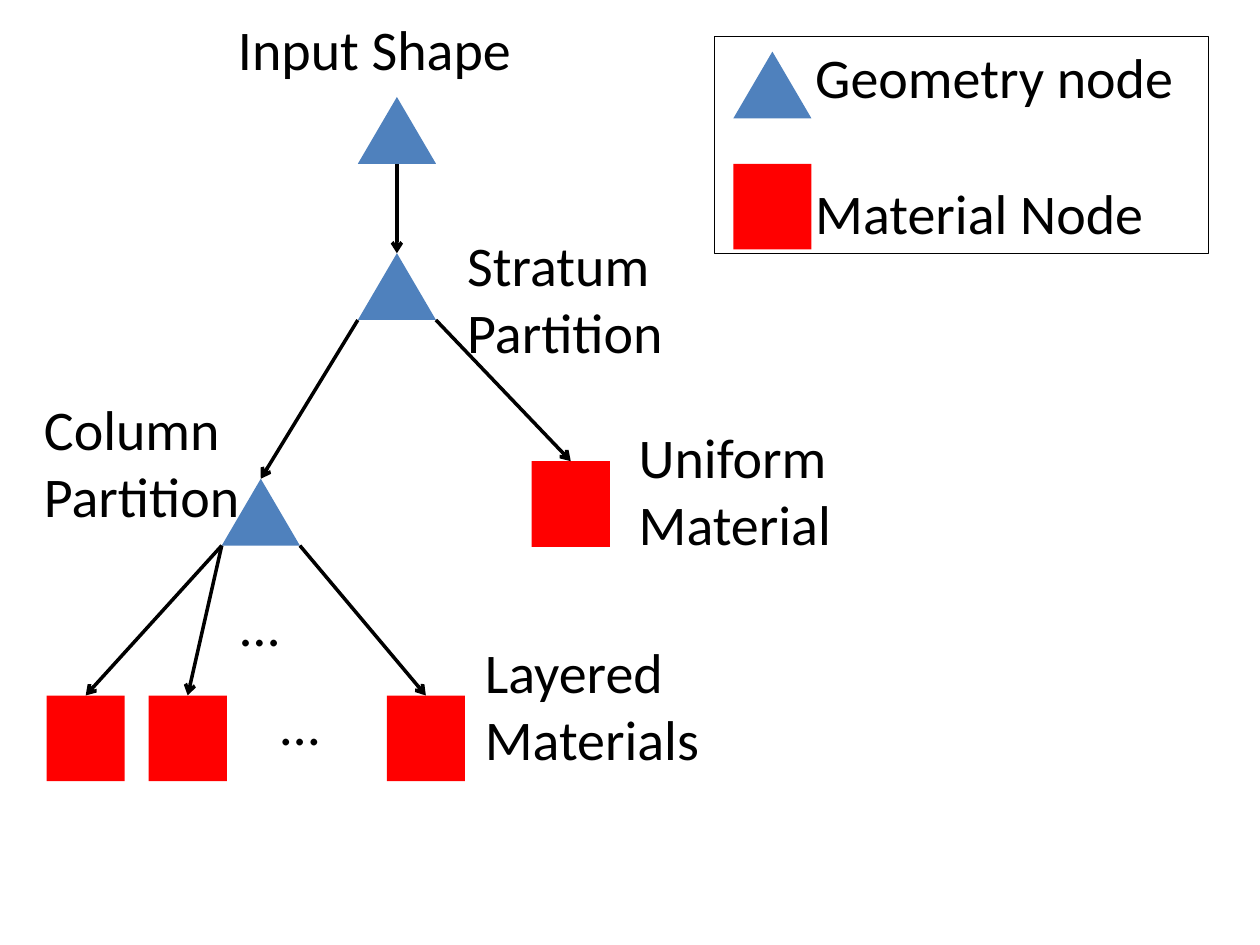
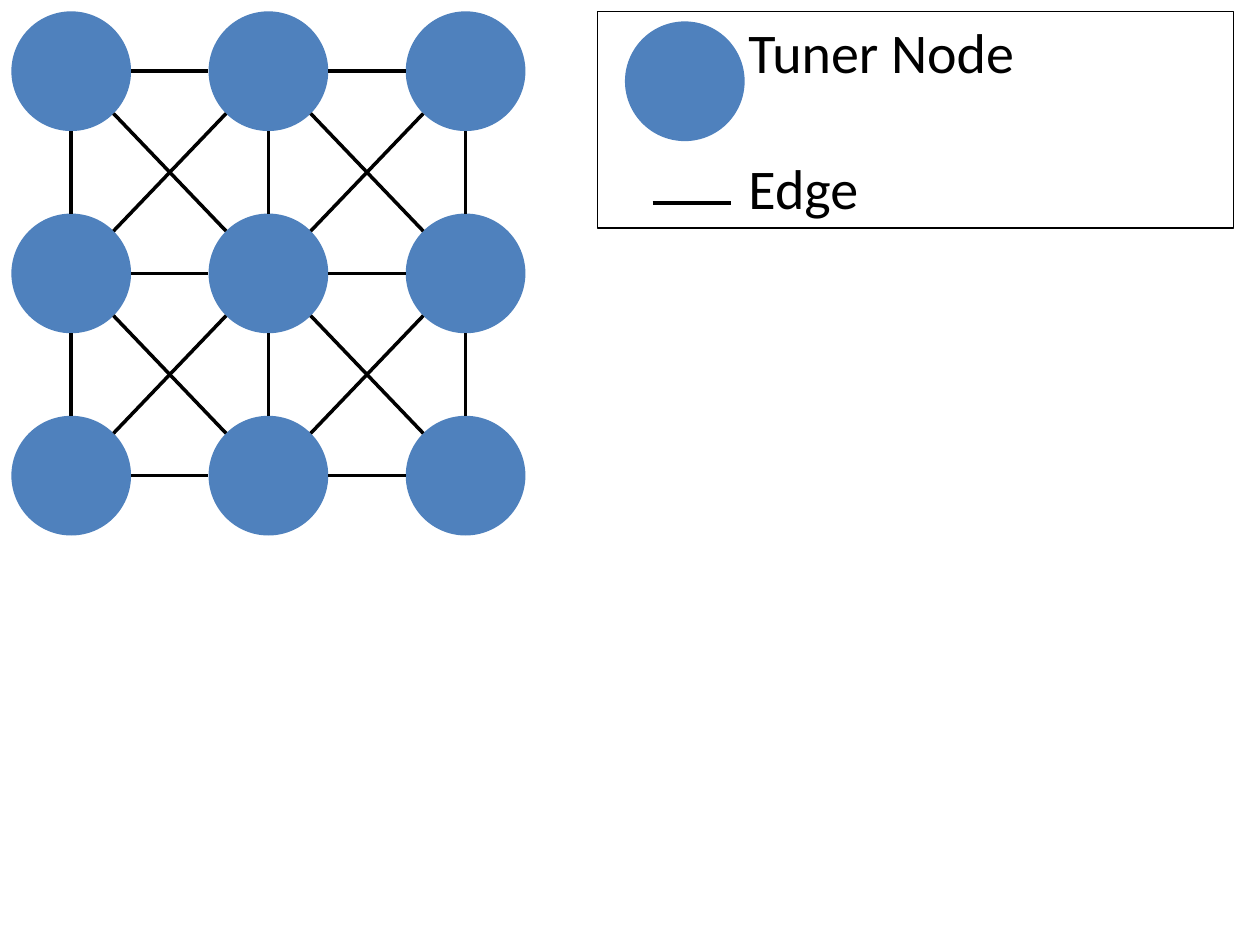
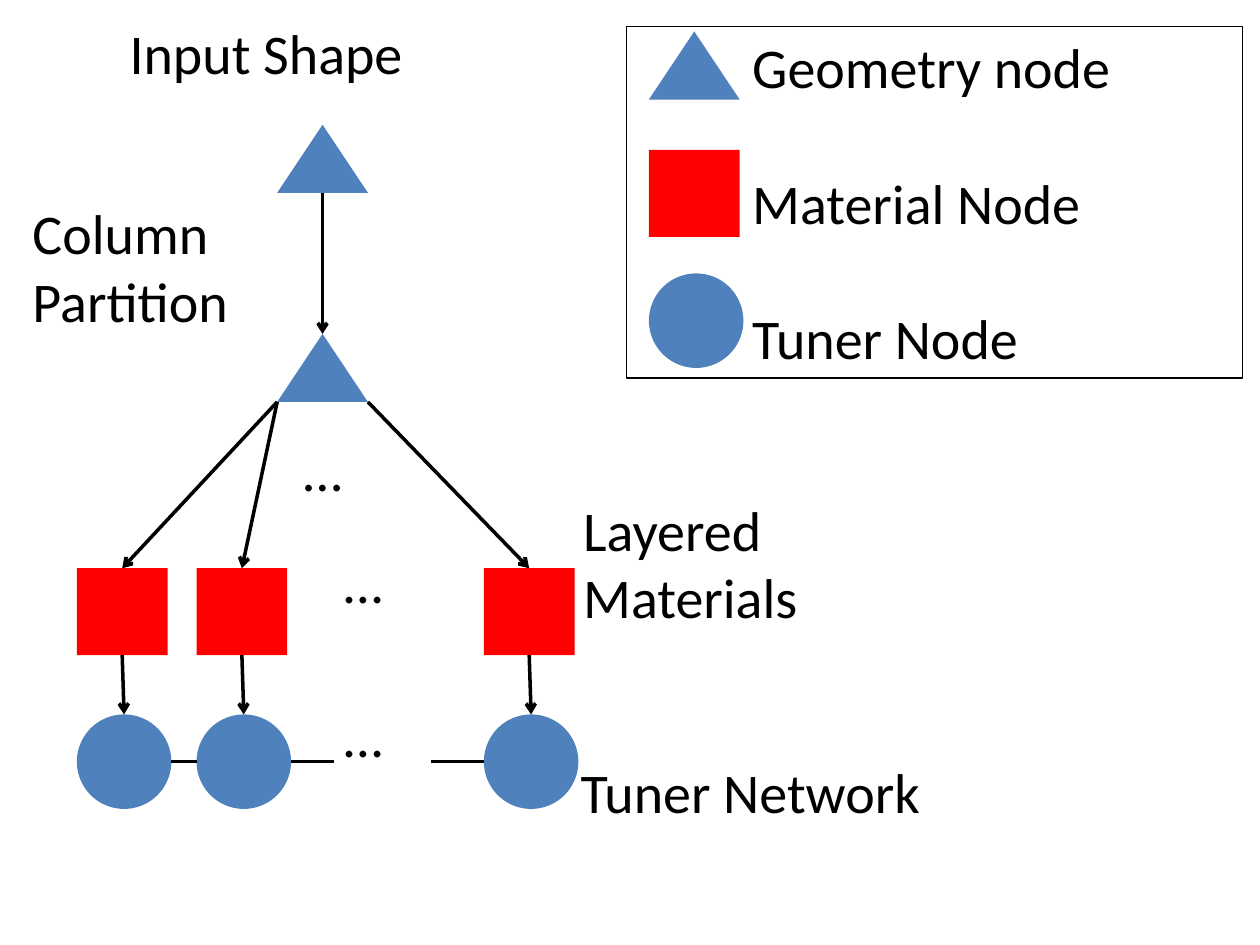
"""Build three diagrams of procedural shape trees and tuner networks."""
from dataclasses import dataclass
from itertools import product
from math import hypot

from lxml.etree import SubElement
from pptx import Presentation
from pptx.dml.color import RGBColor
from pptx.enum.shapes import MSO_CONNECTOR as Connector, MSO_SHAPE as Preset
from pptx.enum.text import MSO_ANCHOR as Anchor, PP_ALIGN as Align
from pptx.oxml.ns import qn
from pptx.util import Pt

EMU_PER_PX = 9144
BLUE = RGBColor(0x4F, 0x81, 0xBD)
RED = RGBColor(0xFF, 0x00, 0x00)
BLACK = RGBColor(0x00, 0x00, 0x00)
TRIANGLE, SQUARE, CIRCLE = Preset.ISOSCELES_TRIANGLE, Preset.RECTANGLE, Preset.OVAL
NODE_COLORS = {TRIANGLE: BLUE, SQUARE: RED, CIRCLE: BLUE}
TOP, BOTTOM = (0.5, 0), (0.5, 1)
LEFT, RIGHT = (0, 0.5), (1, 0.5)
BOTTOM_LEFT, BOTTOM_RIGHT = (0, 1), (1, 1)


def emu(*lengths):
    return [round(length * EMU_PER_PX) for length in lengths]


def write_text(frame, text, size=32, font="Calibri", color=BLACK, gap=0, indent=10):
    frame.word_wrap = True
    frame.vertical_anchor = Anchor.TOP
    frame.margin_left, = emu(indent)
    for index, line in enumerate(text.split("\n")):
        paragraph = frame.paragraphs[0] if index == 0 else frame.add_paragraph()
        paragraph.alignment = Align.LEFT
        paragraph.space_before = Pt(gap if index else 0)
        run = paragraph.add_run()
        run.text = line
        run.font.size = Pt(size)
        run.font.name = font
        run.font.color.rgb = color


@dataclass
class Node:
    left: int
    top: int
    width: int
    height: int

    def at(self, spot):
        return self.left + spot[0] * self.width, self.top + spot[1] * self.height

    def rim(self, across, down):
        reach = 2 * hypot(across, down)
        return self.at((0.5 + across / reach, 0.5 + down / reach))


class Diagram:
    def __init__(self):
        self.presentation = Presentation()
        self.presentation.slide_width, self.presentation.slide_height = emu(1000, 750)

    def new_slide(self, sizes):
        self.sizes = sizes
        layout = self.presentation.slide_layouts[6]
        self.slide = self.presentation.slides.add_slide(layout)

    def node(self, kind, left, top):
        node = Node(left, top, *self.sizes[kind])
        shape = self.slide.shapes.add_shape(kind, *emu(left, top, node.width, node.height))
        shape.shadow.inherit = False
        shape.fill.solid()
        shape.fill.fore_color.rgb = NODE_COLORS[kind]
        shape.line.fill.background()
        return node

    def label(self, text, left, top, width, height=64):
        box = self.slide.shapes.add_textbox(*emu(left, top, width, height))
        write_text(box.text_frame, text)

    def legend(self, text, left, top, width, height, indent):
        frame = self.slide.shapes.add_shape(SQUARE, *emu(left, top, width, height))
        frame.shadow.inherit = False
        frame.fill.background()
        frame.line.color.rgb = BLACK
        frame.line.width = Pt(0.75)
        write_text(frame.text_frame, text, gap=39, indent=indent)

    def line(self, start, end, arrow=False):
        connector = self.slide.shapes.add_connector(
            Connector.STRAIGHT, *emu(*start, *end))
        connector.line.color.rgb = BLACK
        connector.line.width = Pt(2)
        properties = connector.line._get_or_add_ln()
        if arrow:
            SubElement(properties, qn("a:tailEnd"), type="arrow")
        SubElement(connector._element.spPr, qn("a:effectLst"))

    def arrow(self, start, end):
        self.line(start, end, arrow=True)

    def layered_materials(self, partition, lefts, top):
        materials = [self.node(SQUARE, left, top) for left in lefts]
        for material, corner in zip(materials, (BOTTOM_LEFT, BOTTOM_LEFT, BOTTOM_RIGHT)):
            self.arrow(partition.at(corner), material.at(TOP))
        return materials


def partition_tree(diagram):
    diagram.new_slide({TRIANGLE: (62, 53), SQUARE: (62, 68)})
    source = diagram.node(TRIANGLE, 284, 77)
    stratum = diagram.node(TRIANGLE, 284, 201)
    column = diagram.node(TRIANGLE, 176, 380)
    uniform = diagram.node(SQUARE, 422, 366)
    diagram.arrow(source.at(BOTTOM), stratum.at(TOP))
    diagram.arrow(stratum.at(BOTTOM_LEFT), column.at(TOP))
    diagram.arrow(stratum.at(BOTTOM_RIGHT), uniform.at(TOP))
    diagram.layered_materials(column, (37, 118, 307), 552)
    diagram.label("Input Shape", 179, 7, 278)
    diagram.label("Stratum Partition", 361, 178, 278, 118)
    diagram.label("Uniform\nMaterial", 497, 330, 278, 118)
    diagram.label("Column\nPartition", 25, 308, 212, 118)
    diagram.label("Layered Materials", 375, 501, 246, 118)
    diagram.label("…", 181, 464, 67)
    diagram.label("…", 213, 542, 67)
    diagram.legend("Geometry node\nMaterial Node", 567, 29, 392, 172, indent=80)
    diagram.node(TRIANGLE, 582, 41)
    diagram.node(SQUARE, 582, 130)


def tuner_grid(diagram):
    diagram.new_slide({CIRCLE: (95, 95)})
    tuners = {(column, row): diagram.node(CIRCLE, 9 + 156.5 * column, 9 + 160.5 * row)
              for row, column in product(range(3), repeat=2)}
    directions = ((1, 0), (0, 1), (1, 1), (-1, 1))
    for ((column, row), tuner), (across, down) in product(tuners.items(), directions):
        neighbour = tuners.get((column + across, row + down))
        if neighbour:
            diagram.line(tuner.rim(across, down), neighbour.rim(-across, -down))
    diagram.legend("Tuner Node\nEdge", 474, 9, 505, 172, indent=120)
    diagram.node(CIRCLE, 496, 17)
    diagram.line((518, 161), (580, 161))


def tuner_tree(diagram):
    diagram.new_slide({TRIANGLE: (72, 54), SQUARE: (72, 69), CIRCLE: (75, 75)})
    lefts = (61, 156, 384)
    source = diagram.node(TRIANGLE, 220, 99)
    column = diagram.node(TRIANGLE, 220, 265)
    diagram.arrow(source.at(BOTTOM), column.at(TOP))
    materials = diagram.layered_materials(column, lefts, 451)
    tuners = [diagram.node(CIRCLE, left, 567) for left in lefts]
    for material, tuner in zip(materials, tuners):
        diagram.arrow(material.at(BOTTOM), tuner.at(TOP))
    first, second, last = tuners
    middle = first.at(RIGHT)[1]
    diagram.line(first.at(RIGHT), second.at(LEFT))
    diagram.line(second.at(RIGHT), (265, middle))
    diagram.line((342, middle), last.at(LEFT))
    diagram.label("Input Shape", 93, 10, 326)
    diagram.label("Column\nPartition", 16, 153, 216, 118)
    diagram.label("Layered Materials", 453, 388, 289, 118)
    diagram.label("Tuner Network", 451, 596, 399)
    for left, top in ((231, 341), (263, 430), (263, 552)):
        diagram.label("…", left, top, 78)
    diagram.legend("Geometry node\nMaterial Node\nTuner Node", 497, 21, 489, 279, indent=100)
    for kind, top in ((TRIANGLE, 25), (SQUARE, 119), (CIRCLE, 217)):
        diagram.node(kind, 515, top)


def main():
    diagram = Diagram()
    partition_tree(diagram)
    tuner_grid(diagram)
    tuner_tree(diagram)
    diagram.presentation.save("out.pptx")


if __name__ == "__main__":
    main()
